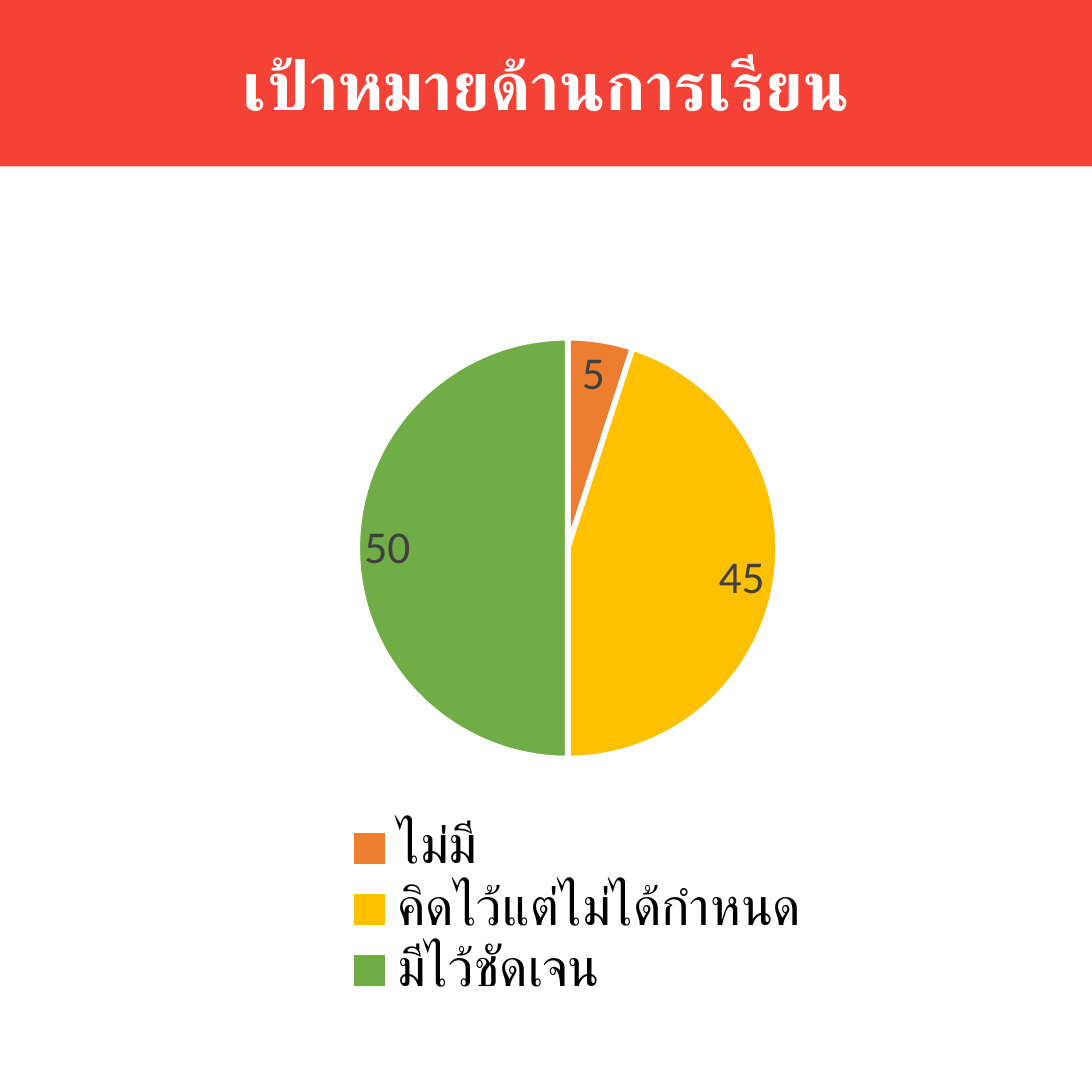
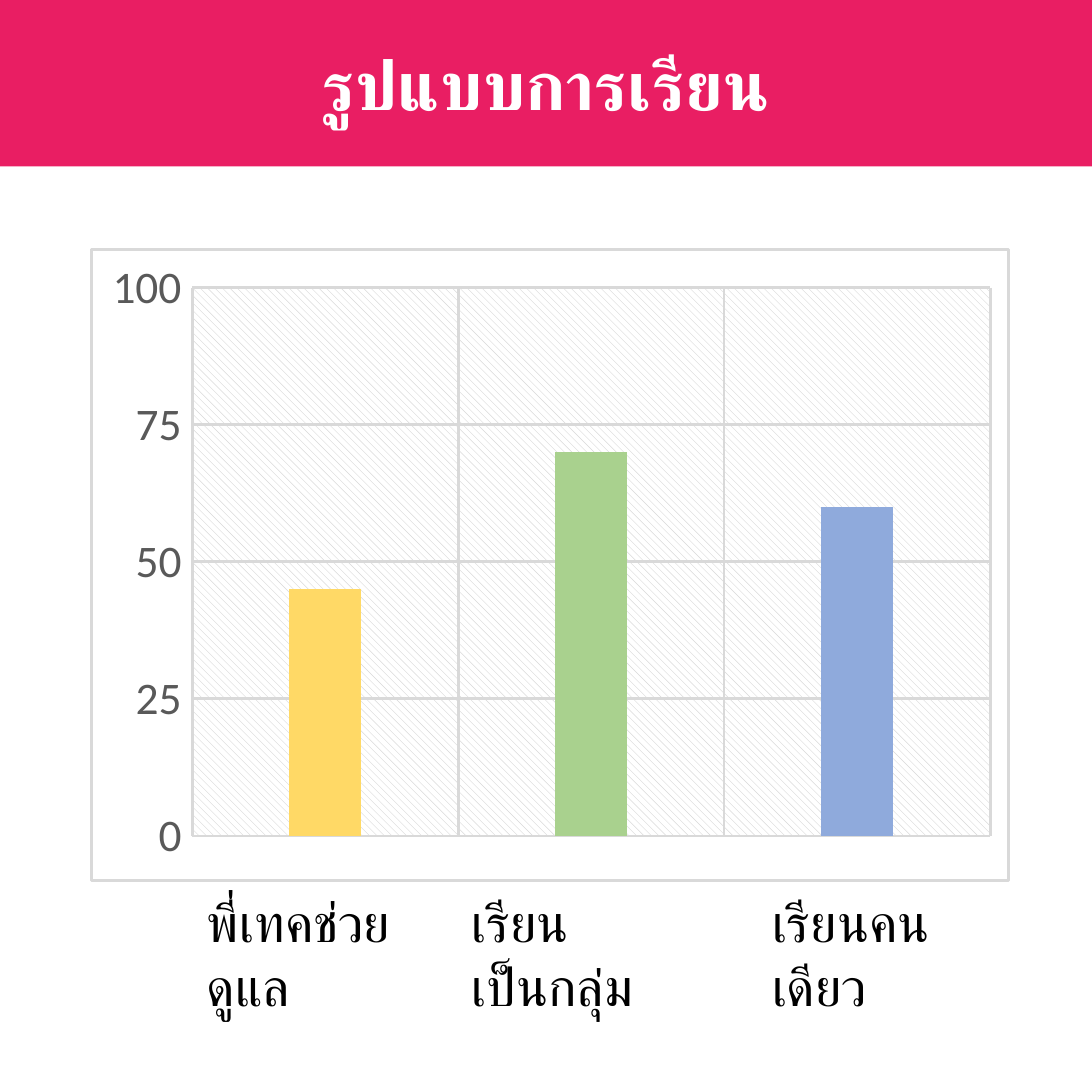
from lxml.etree import SubElement
from pptx import Presentation
from pptx.chart.data import CategoryChartData
from pptx.dml.color import RGBColor
from pptx.enum.chart import XL_CHART_TYPE as CT, XL_LABEL_POSITION as LP
from pptx.enum.chart import XL_LEGEND_POSITION as LG, XL_TICK_MARK as TM
from pptx.enum.shapes import MSO_SHAPE
from pptx.enum.text import MSO_ANCHOR, PP_ALIGN
from pptx.oxml import parse_xml
from pptx.oxml.ns import nsdecls, qn
from pptx.util import Inches, Pt

SIZE = Inches(4)
FONT = "Calibri"
HEX = {
    "red": "F44336", "pink": "E91E63", "white": "FFFFFF", "black": "000000",
    "label": "404040", "axis": "595959", "grid": "D9D9D9",
    "orange": "ED7D31", "gold": "FFC000", "green": "70AD47",
    "pale_gold": "FFD966", "pale_green": "A9D18E", "pale_blue": "8FAADC",
}
RGB = {name: RGBColor.from_string(code) for name, code in HEX.items()}


def style(font, size, color, bold=False):
    font.name, font.size, font.bold = FONT, Pt(size), bold
    font.color.rgb = RGB[color]


def place(parent, index, inner, *shares):
    for old in parent.findall(qn("c:layout")):
        parent.remove(old)
    layout = parse_xml(f"<c:layout {nsdecls('c')}><c:manualLayout/></c:layout>")
    if inner:
        SubElement(layout[0], qn("c:layoutTarget")).set("val", "inner")
    for tag in ("xMode", "yMode"):
        SubElement(layout[0], qn(f"c:{tag}")).set("val", "edge")
    for tag, share in zip("xywh", shares):
        SubElement(layout[0], qn(f"c:{tag}")).set("val", str(share))
    parent.insert(index, layout)


prs = Presentation()
prs.slide_width = prs.slide_height = SIZE

pages = [
    ("เป้าหมายด้านการเรียน", "red", CT.PIE, (7.25, 20.75, 89.5, 72.75),
     (0.28, 0.14, 0.44, 0.53),
     [("ไม่มี", 5, "orange"), ("คิดไว้แต่ไม่ได้กำหนด", 45, "gold"),
      ("มีไว้ชัดเจน", 50, "green")]),
    ("รูปแบบการเรียน", "pink", CT.COLUMN_CLUSTERED, (8.25, 22.75, 84.25, 58),
     (0.11, 0.06, 0.87, 0.87),
     [("1", 45, "pale_gold"), ("2", 70, "pale_green"), ("3", 60, "pale_blue")]),
]
charts = []
for title, band_color, kind, box, plot_box, rows in pages:
    s = prs.slides.add_slide(prs.slide_layouts[6])
    band = s.shapes.add_shape(MSO_SHAPE.RECTANGLE, 0, 0, SIZE, int(SIZE * 0.1525))
    band.shadow.inherit = False
    band.fill.solid()
    band.fill.fore_color.rgb = RGB[band_color]
    band.line.fill.background()
    tf = band.text_frame
    tf.vertical_anchor = MSO_ANCHOR.MIDDLE
    p = tf.paragraphs[0]
    p.text, p.alignment = title, PP_ALIGN.CENTER
    style(p.font, 18, "white", True)

    data = CategoryChartData()
    data.categories = [name for name, _, _ in rows]
    data.add_series("Series 1", [value for _, value, _ in rows])
    bounds = [int(SIZE * share / 100) for share in box]
    chart = s.shapes.add_chart(kind, *bounds, data).chart
    chart.has_title = chart.has_legend = False
    style(chart.font, 10, "black")
    plot = chart.plots[0]
    plot.vary_by_categories = kind == CT.PIE
    for i, (_, _, color) in enumerate(rows):
        fmt = plot.series[0].points[i].format
        fmt.fill.solid()
        fmt.fill.fore_color.rgb = RGB[color]
        if kind == CT.PIE:
            fmt.line.color.rgb, fmt.line.width = RGB["white"], Pt(1.5)
    place(chart._chartSpace.find(".//" + qn("c:plotArea")), 0, True, *plot_box)
    charts.append(chart)

pie, columns = charts
pie.has_legend = True
pie.legend.position = LG.BOTTOM
pie.legend.include_in_layout = False
style(pie.legend.font, 14, "black")
place(pie.legend._element, 1, False, 0.27, 0.74, 0.48, 0.24)
pie.plots[0].has_data_labels = True
labels = pie.plots[0].data_labels
labels.show_value = True
labels.show_percentage = False
labels.position = LP.BEST_FIT
style(labels.font, 12, "label")

columns.plots[0].gap_width, columns.plots[0].overlap = 267, -43
cat, val = columns.category_axis, columns.value_axis
cat.visible = False
val.minimum_scale, val.maximum_scale, val.major_unit = 0, 100, 25
val.major_tick_mark = TM.NONE
val.format.line.fill.background()
style(val.tick_labels.font, 12, "axis")
for axis in (cat, val):
    axis.has_major_gridlines = True
    line = axis.major_gridlines.format.line
    line.color.rgb, line.width = RGB["grid"], Pt(0.75)

area = columns._chartSpace.find(qn("c:chart"))
area.addnext(parse_xml(
    f'<c:spPr {nsdecls("c", "a")}><a:solidFill><a:srgbClr val="{HEX["white"]}"/></a:solidFill>'
    f'<a:ln w="{Pt(0.75)}"><a:solidFill><a:srgbClr val="{HEX["grid"]}"/></a:solidFill></a:ln></c:spPr>'))
area.find(qn("c:plotArea")).append(parse_xml(
    f'<c:spPr {nsdecls("c", "a")}><a:pattFill prst="ltDnDiag">'
    f'<a:fgClr><a:srgbClr val="{HEX["grid"]}"/></a:fgClr>'
    f'<a:bgClr><a:srgbClr val="{HEX["white"]}"/></a:bgClr></a:pattFill></c:spPr>'))

captions = [("พี่เทคช่วยดูแล", 16.5, 24), ("เรียนเป็นกลุ่ม", 40.75, 23), ("เรียนคนเดียว", 68.25, 22.5)]
for text, left, width in captions:
    bounds = [int(SIZE * share / 100) for share in (left, 80.25, width, 8.5)]
    tf = s.shapes.add_textbox(*bounds).text_frame
    tf.word_wrap = True
    p = tf.paragraphs[0]
    p.text = text
    style(p.font, 14, "black")

prs.save("out.pptx")
